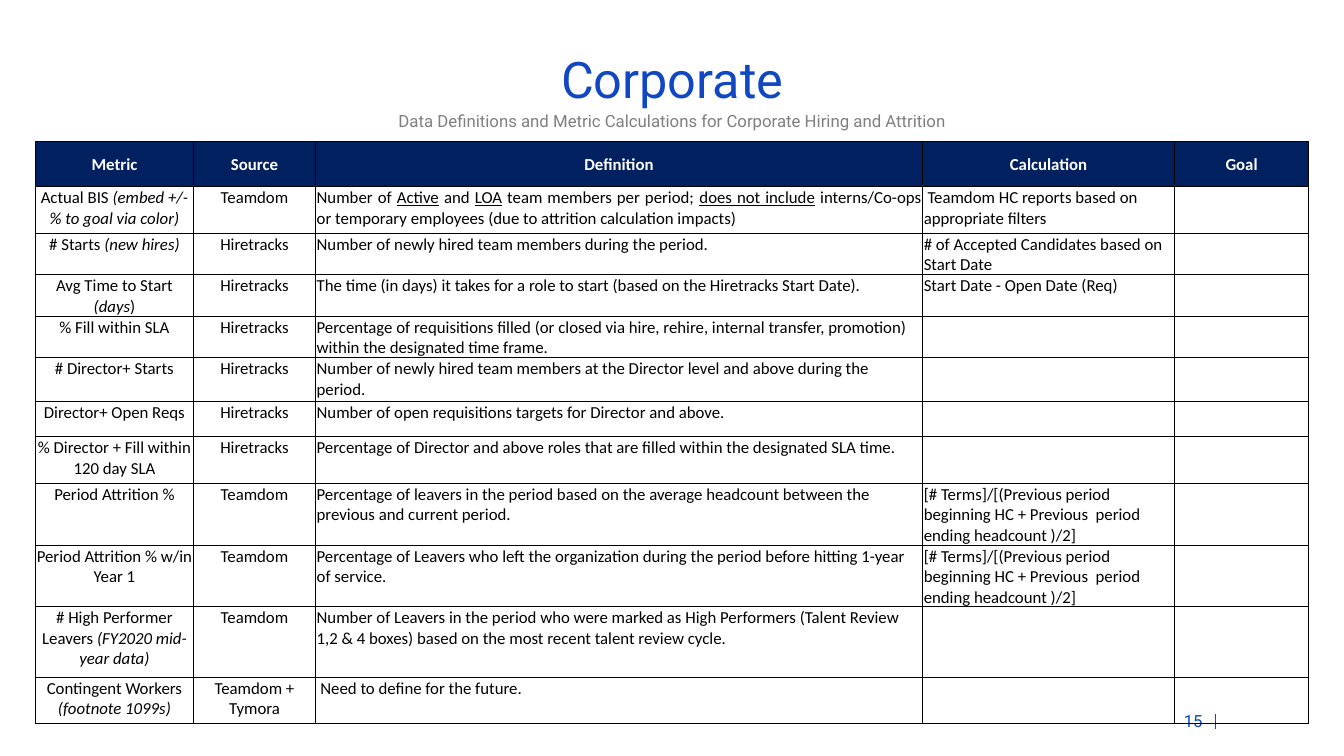
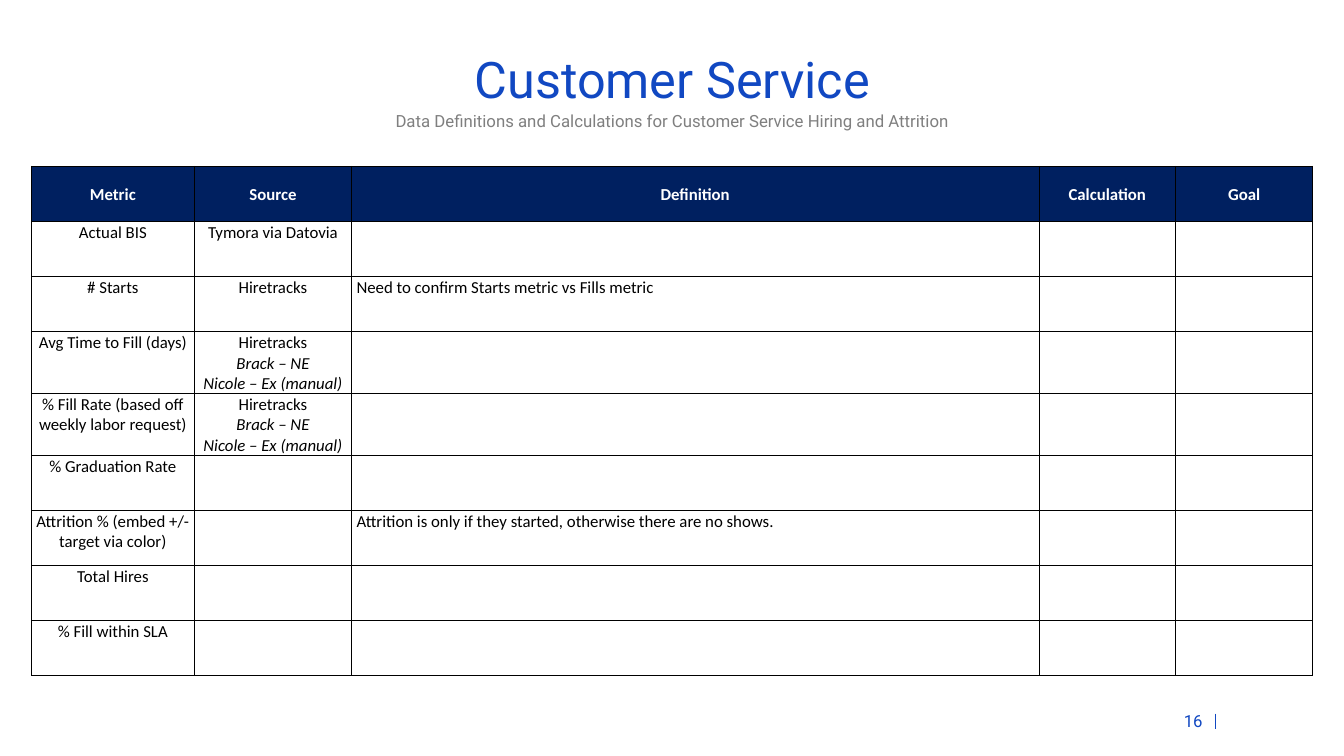
from dataclasses import dataclass

from lxml.etree import SubElement
from pptx import Presentation
from pptx.dml.color import RGBColor as RGB
from pptx.enum.shapes import MSO_CONNECTOR as CONN
from pptx.enum.text import MSO_ANCHOR as ANCHOR, PP_ALIGN as ALIGN
from pptx.oxml.ns import qn
from pptx.util import Cm, Pt


@dataclass(frozen=True)
class Theme:
    blue: str = "1148C2"
    gray: str = "7F7F7F"
    navy: str = "002060"
    black: str = "000000"
    white: str = "FFFFFF"
    head_font: str = "Roboto"
    table_font: str = "Calibri"
    title_size: int = 36
    text_size: int = 12
    border: float = 0.5
    rule: float = 1
    inset: float = 0.03


T = Theme()
HEADERS = ["Metric", "Source", "Definition", "Calculation", "Goal"]
CENTERED_COLS = (0, 1)
ATTRITION_RATE = ("[# Terms]/[(Previous period beginning HC + "
                  "Previous  period ending headcount )/2]")
MANUAL_FILL = "Hiretracks\n*Brack – NE*\n*Nicole – Ex (manual)*"

CORPORATE_ROWS = [
    ["Actual BIS *(embed +/- % to goal via color)*", "Teamdom",
     "Number of _Active_ and _LOA_ team members per period; _does not include_ "
     "interns/Co-ops or temporary employees (due to attrition calculation impacts)",
     " Teamdom HC reports based on appropriate filters"],
    ["# Starts *(new hires)*", "Hiretracks",
     "Number of newly hired team members during the period.",
     "# of Accepted Candidates based on Start Date"],
    ["Avg Time to Start *(days*)", "Hiretracks",
     "The time (in days) it takes for a role to start "
     "(based on the Hiretracks Start Date).",
     "Start Date - Open Date (Req)"],
    ["% Fill within SLA", "Hiretracks",
     "Percentage of requisitions filled (or closed via hire, rehire, internal "
     "transfer, promotion) within the designated time frame."],
    ["# Director+ Starts", "Hiretracks",
     "Number of newly hired team members at the Director level and above "
     "during the period."],
    ["Director+ Open Reqs", "Hiretracks",
     "Number of open requisitions targets for Director and above."],
    ["% Director + Fill within 120 day SLA", "Hiretracks",
     "Percentage of Director and above roles that are filled within the "
     "designated SLA time."],
    ["Period Attrition %", "Teamdom",
     "Percentage of leavers in the period based on the average headcount "
     "between the previous and current period.", ATTRITION_RATE],
    ["Period Attrition % w/in Year 1", "Teamdom",
     "Percentage of Leavers who left the organization during the period "
     "before hitting 1-year of service.", ATTRITION_RATE],
    ["# High Performer Leavers *(FY2020 mid-year data)*", "Teamdom",
     "Number of Leavers in the period who were marked as High Performers "
     "(Talent Review 1,2 & 4 boxes) based on the most recent talent review cycle."],
    ["Contingent Workers *(footnote 1099s)*", "Teamdom + Tymora",
     " Need to define for the future."],
]

SERVICE_ROWS = [
    ["Actual BIS", "Tymora via Datovia"],
    ["# Starts", "Hiretracks", " Need to confirm Starts metric vs Fills metric"],
    ["Avg Time to Fill (days)", MANUAL_FILL],
    ["% Fill Rate (based off weekly labor request)", MANUAL_FILL],
    ["% Graduation Rate"],
    ["Attrition % (embed +/- target via color)", "",
     " Attrition is only if they started, otherwise there are no shows."],
    ["Total Hires"],
    ["% Fill within SLA"],
]


def add_run(p, text, font, size, color, bold=False):
    r = p.add_run()
    r.text = text
    r.font.name = font
    r.font.size = Pt(size)
    r.font.bold = bold
    r.font.color.rgb = RGB.from_string(color)
    return r


def add_marked_runs(p, text, color, bold):
    for i, part in enumerate(text.split("*")):
        for j, piece in enumerate(part.split("_")):
            if piece:
                r = add_run(p, piece, T.table_font, T.text_size, color, bold)
                r.font.italic = i % 2 == 1
                r.font.underline = j % 2 == 1


def add_text(s, box, text, size, color, align, anchor, spacing=None):
    tf = s.shapes.add_textbox(*map(Cm, box)).text_frame
    tf.word_wrap = True
    tf.vertical_anchor = anchor
    p = tf.paragraphs[0]
    p.alignment = align
    p.line_spacing = spacing
    add_run(p, text, T.head_font, size, color)


def add_footer(s, number):
    add_text(s, (28.55, 17.78, 2.01, 0.76), str(number), T.text_size, T.blue,
             ALIGN.RIGHT, ANCHOR.MIDDLE)
    line = s.shapes.add_connector(CONN.STRAIGHT, Cm(30.63), Cm(17.98),
                                  Cm(30.63), Cm(18.36))
    line.line.color.rgb = RGB.from_string(T.blue)
    line.line.width = Pt(T.rule)
    SubElement(line._element.spPr, qn("a:effectLst"))


def add_borders(cell):
    tc_pr = cell._tc.get_or_add_tcPr()
    for side in "LRTB":
        ln = SubElement(tc_pr, qn(f"a:ln{side}"), w=str(Pt(T.border)))
        fill = SubElement(ln, qn("a:solidFill"))
        SubElement(fill, qn("a:srgbClr"), val=T.black)


def fill_cell(cell, text, align, header):
    cell.margin_left = cell.margin_right = cell.margin_top = Cm(T.inset)
    cell.margin_bottom = 0
    cell.vertical_anchor = ANCHOR.MIDDLE if header else ANCHOR.TOP
    add_borders(cell)
    if header:
        cell.fill.solid()
        cell.fill.fore_color.rgb = RGB.from_string(T.navy)
    else:
        cell.fill.background()
    tf = cell.text_frame
    for i, line in enumerate(text.split("\n")):
        p = tf.add_paragraph() if i else tf.paragraphs[0]
        p.alignment = align
        add_marked_runs(p, line, T.white if header else T.black, header)


def add_metric_table(s, left, top, widths, heights, rows, justified=()):
    frame = s.shapes.add_table(len(heights), len(widths), Cm(left), Cm(top),
                               Cm(sum(widths)), Cm(sum(heights)))
    table = frame.table
    table.first_row = table.horz_banding = False
    for col, width in zip(table.columns, widths):
        col.width = Cm(width)
    for row, height in zip(table.rows, heights):
        row.height = Cm(height)
    for i, texts in enumerate([HEADERS] + rows):
        for j in range(len(widths)):
            if i == 0 or j in CENTERED_COLS:
                align = ALIGN.CENTER
            else:
                align = ALIGN.JUSTIFY if (i, j) in justified else ALIGN.LEFT
            fill_cell(table.cell(i, j), texts[j] if j < len(texts) else "",
                      align, i == 0)


def add_metric_slide(prs, number, title, subtitle):
    s = prs.slides.add_slide(prs.slide_layouts[6])
    add_footer(s, number)
    add_text(s, (0.79, 1.3, 32.31, 1.52), title, T.title_size, T.blue,
             ALIGN.CENTER, ANCHOR.MIDDLE, 0.9)
    add_text(s, (0.79, 2.67, 32.31, 1.35), subtitle, T.text_size, T.gray,
             ALIGN.CENTER, ANCHOR.TOP)
    return s


def main():
    prs = Presentation()
    prs.slide_width, prs.slide_height = Cm(33.87), Cm(19.05)

    s = add_metric_slide(
        prs, 15, "Corporate",
        "Data Definitions and Metric Calculations for Corporate Hiring and Attrition")
    add_metric_table(
        s, 0.89, 3.56, [3.99, 3.07, 15.3, 6.35, 3.38],
        [1.14, 1.17, 1.05, 1.05, 0.89, 1.1, 0.89, 1.17, 1.52, 1.52, 1.78, 1.17],
        CORPORATE_ROWS, justified={(1, 2)})

    s = add_metric_slide(
        prs, 16, "Customer Service",
        "Data Definitions and Calculations for Customer Service Hiring and Attrition")
    add_metric_table(s, 0.79, 4.19, [4.11, 3.96, 17.32, 3.45, 3.45],
                     [1.39] * (len(SERVICE_ROWS) + 1), SERVICE_ROWS)

    prs.save("out.pptx")


if __name__ == "__main__":
    main()
